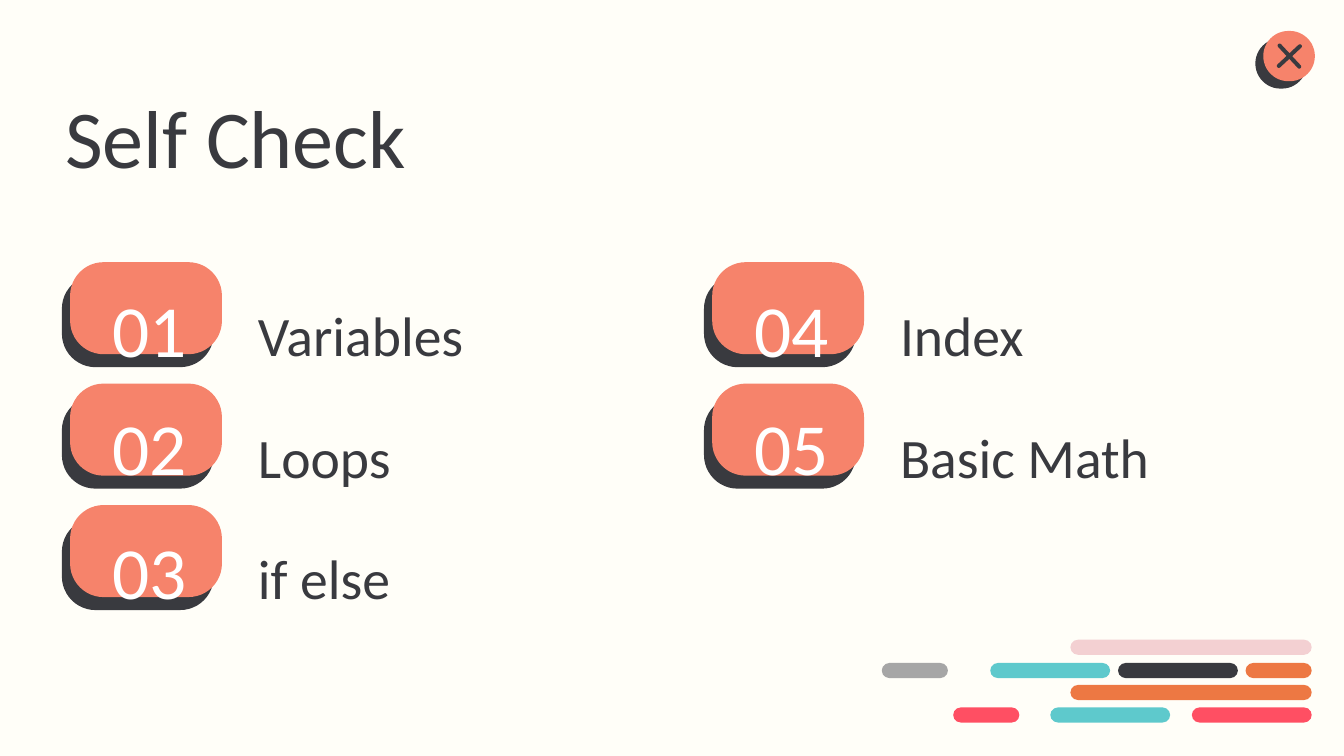
from pptx import Presentation
from pptx.dml.color import RGBColor
from pptx.enum.shapes import MSO_SHAPE
from pptx.enum.text import MSO_ANCHOR, MSO_AUTO_SIZE, PP_ALIGN
from pptx.util import Cm, Pt

ROUNDED = MSO_SHAPE.ROUNDED_RECTANGLE
TOP = MSO_ANCHOR.TOP
LEFT = PP_ALIGN.LEFT
GROW = MSO_AUTO_SIZE.SHAPE_TO_FIT_TEXT
TITLE_ONLY = 5

COLORS = {
    "paper": "FFFEF8", "ink": "393A3F", "coral": "F6836B", "white": "FFFFFF",
    "red": "FF4F63", "teal": "5EC9CC", "grey": "A6A6A6", "orange": "ED7843",
    "pink": "F3D0D2",
}

# Topics fill the first column, then the second
TOPICS = ["Variables", "Loops", "if else", "Index", "Basic Math"]
ROWS = 3
CARD_LEFT, CARD_TOP = 2.34, 10.4
COLUMN_PITCH, ROW_PITCH = 24.27, 4.59
NUMBER_TOPS = [10.06, 14.55, 19.23]

# Decorative bars: top, then (left, width, color) for each bar of the row
BAR_HEIGHT = 0.57
BAR_ROWS = [
    (24.18, [(40.46, 9.12, "pink")]),
    (25.06, [(33.33, 2.5, "grey"), (37.43, 4.53, "teal"),
             (42.26, 4.53, "ink"), (47.08, 2.5, "orange")]),
    (25.89, [(40.46, 9.12, "orange")]),
    (26.74, [(36.03, 2.5, "red"), (39.7, 4.53, "teal"), (45.05, 4.53, "red")]),
]


class SlideBuilder:
    def __init__(self, page, font="Calibri"):
        self.page = page
        self.font = font

    def color(self, name):
        return RGBColor.from_string(COLORS[name])

    def background(self, color):
        fill = self.page.background.fill
        fill.solid()
        fill.fore_color.rgb = self.color(color)

    def style_text(self, box, text, size, color):
        frame = box.text_frame
        frame.text = text
        frame.word_wrap = True
        frame.auto_size = GROW
        frame.vertical_anchor = TOP
        frame.margin_left = frame.margin_right = 0
        frame.margin_top = frame.margin_bottom = 0
        para = frame.paragraphs[0]
        para.alignment = LEFT
        para.line_spacing = 1.2
        span = para.runs[0]
        span.font.name = self.font
        span.font.size = Pt(size)
        span.font.color.rgb = self.color(color)

    def title(self, text, left, top, width, height, size):
        box = self.page.shapes.title
        box.left, box.top = Cm(left), Cm(top)
        box.width, box.height = Cm(width), Cm(height)
        self.style_text(box, text, size, "ink")

    def text(self, text, left, top, width, height, size, color):
        box = self.page.shapes.add_textbox(Cm(left), Cm(top), Cm(width), Cm(height))
        self.style_text(box, text, size, color)

    def pill(self, left, top, width, height, color, rounding=0.5, rotation=0):
        shape = self.page.shapes.add_shape(
            ROUNDED, Cm(left), Cm(top), Cm(width), Cm(height))
        shape.adjustments[0] = rounding
        shape.rotation = rotation
        shape.shadow.inherit = False
        shape.fill.solid()
        shape.fill.fore_color.rgb = self.color(color)
        shape.line.fill.background()

    def topic(self, index, name):
        column, row = divmod(index, ROWS)
        left = CARD_LEFT + column * COLUMN_PITCH
        top = CARD_TOP + row * ROW_PITCH
        self.pill(left, top, 5.74, 3.48, "ink", 0.365)
        self.pill(left + 0.31, top - 0.49, 5.74, 3.48, "coral", 0.365)
        self.text(f"{index + 1:02}", left + 1.92, NUMBER_TOPS[row], 4.11, 3.35,
                  78.7, "white")
        self.text(name, left + 7.41, top + 0.48, 12.95, 3.05, 59.6, "ink")

    def close_button(self):
        self.pill(47.45, 1.45, 1.95, 1.9, "ink")
        self.pill(47.75, 1.17, 1.95, 1.9, "coral")
        for rotation in (47, 137):
            self.pill(48.66, 1.5, 0.15, 1.24, "ink", rotation=rotation)


def main():
    deck = Presentation()
    deck.slide_width, deck.slide_height = Cm(50.8), Cm(28.575)
    builder = SlideBuilder(deck.slides.add_slide(deck.slide_layouts[TITLE_ONLY]))
    builder.background("paper")
    builder.title("Self Check", 2.46, 2.51, 42.11, 4.52, 88)
    for index, name in enumerate(TOPICS):
        builder.topic(index, name)
    for top, bars in BAR_ROWS:
        for left, width, color in bars:
            builder.pill(left, top, width, BAR_HEIGHT, color)
    builder.close_button()
    deck.save("out.pptx")


if __name__ == "__main__":
    main()
